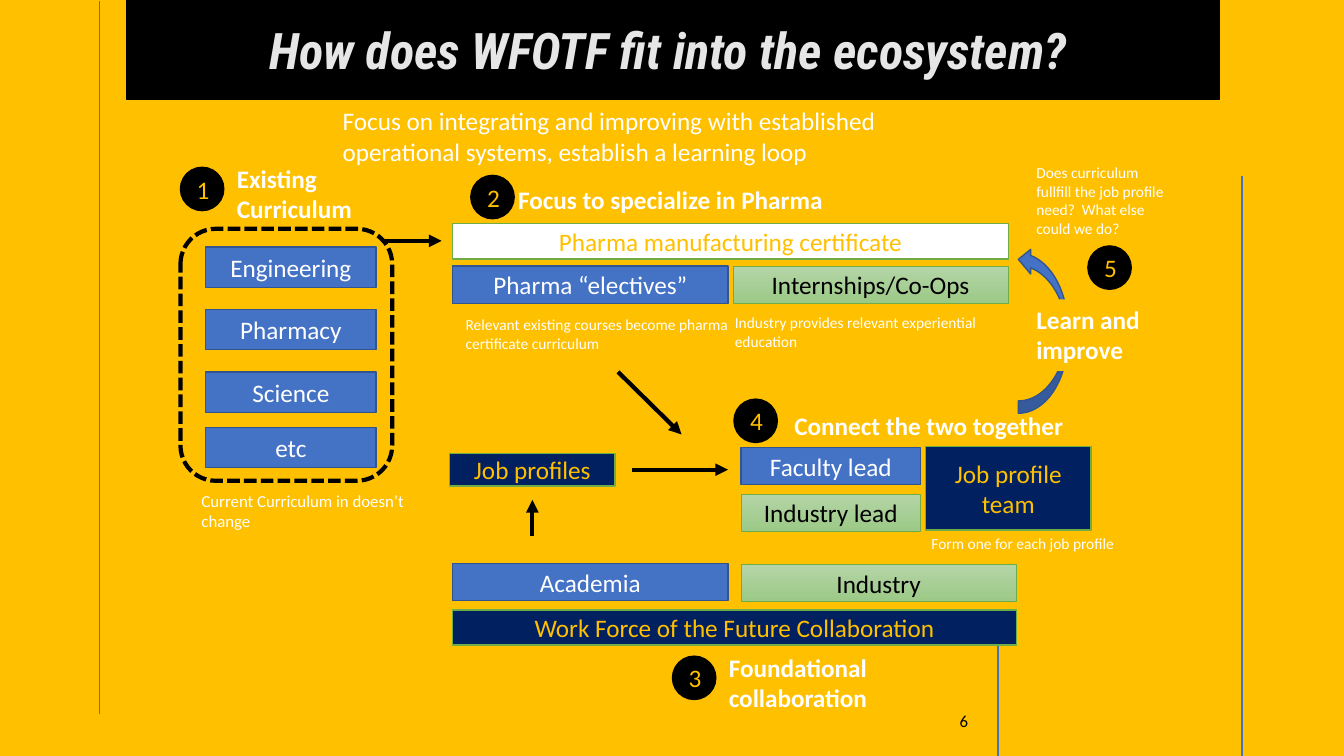
"""Build the slide that places the workforce programme in its ecosystem."""
from dataclasses import dataclass
from typing import Optional

from lxml.etree import SubElement
from pptx import Presentation
from pptx.dml.color import RGBColor
from pptx.enum.dml import MSO_LINE
from pptx.enum.shapes import MSO_CONNECTOR, MSO_SHAPE
from pptx.enum.text import MSO_ANCHOR, PP_ALIGN
from pptx.oxml.ns import qn
from pptx.shapes.autoshape import Shape
from pptx.slide import Slide
from pptx.util import Inches, Pt

GOLD = RGBColor(0xFF, 0xC0, 0x00)
BLACK = RGBColor(0x00, 0x00, 0x00)
WHITE = RGBColor(0xFF, 0xFF, 0xFF)
LIGHT_GRAY = RGBColor(0xE7, 0xE6, 0xE6)
BLUE = RGBColor(0x44, 0x72, 0xC4)
DARK_BLUE = RGBColor(0x32, 0x54, 0x91)
NAVY = RGBColor(0x00, 0x20, 0x60)
GREEN = RGBColor(0x70, 0xAD, 0x47)
PALE_GREEN = RGBColor(0xB5, 0xD5, 0xA7)
SOFT_GREEN = RGBColor(0x9C, 0xC9, 0x87)

BODY_FONT = "Calibri"
TITLE_FONT = "Roboto Condensed"
BADGE_SIZE = 0.43


@dataclass(frozen=True)
class Style:
    fill: Optional[RGBColor]
    line: Optional[RGBColor]
    text: RGBColor = WHITE
    line_width: float = 1
    gradient_end: Optional[RGBColor] = None


ACADEMIA = Style(BLUE, DARK_BLUE)
INDUSTRY = Style(PALE_GREEN, GREEN, BLACK, 0.5, SOFT_GREEN)
JOINT = Style(NAVY, GREEN, GOLD)
CERTIFICATE = Style(WHITE, GREEN, GOLD)
BLACK_SHAPE = Style(BLACK, BLACK, GOLD)
OUTLINE = Style(None, BLACK, line_width=3)


@dataclass(frozen=True)
class Box:
    text: str
    left: float
    top: float
    width: float
    height: float
    style: Style


@dataclass(frozen=True)
class Label:
    text: str
    left: float
    top: float
    width: float
    height: float
    size: float = 18
    bold: bool = False
    fill: Optional[RGBColor] = None
    wrap: bool = True
    color: RGBColor = WHITE
    anchor: MSO_ANCHOR = MSO_ANCHOR.TOP


@dataclass(frozen=True)
class Line:
    start_x: float
    start_y: float
    end_x: float
    end_y: float


@dataclass(frozen=True)
class Badge:
    number: int
    left: float
    top: float


RULES = [Line(0.99, 0.01, 0.99, 7.08), Line(9.9, 6.27, 9.9, 7.5), Line(12.32, 1.75, 12.32, 7.5)]
ARROWS = [
    Line(3.81, 2.39, 4.38, 2.39),
    Line(5.28, 5.32, 5.28, 4.96),
    Line(6.27, 4.66, 7.22, 4.66),
    Line(6.13, 3.69, 6.76, 4.31),
]
COURSES = [("Engineering", 2.45), ("Pharmacy", 3.07), ("Science", 3.69), ("etc", 4.24)]
BOXES = [Box(name, 2.04, top, 1.69, 0.4, ACADEMIA) for name, top in COURSES] + [
    Box("Pharma manufacturing certificate", 4.49, 2.22, 5.51, 0.35, CERTIFICATE),
    Box("Pharma “electives”", 4.49, 2.64, 2.73, 0.37, ACADEMIA),
    Box("Internships/Co-Ops", 7.27, 2.64, 2.73, 0.37, INDUSTRY),
    Box("Job profiles", 4.46, 4.5, 1.64, 0.32, JOINT),
    Box("Faculty lead", 7.35, 4.44, 1.78, 0.37, ACADEMIA),
    Box("Industry lead", 7.35, 4.9, 1.78, 0.37, INDUSTRY),
    Box("Job profile team", 9.18, 4.43, 1.64, 0.83, JOINT),
    Box("Academia", 4.49, 5.59, 2.73, 0.37, ACADEMIA),
    Box("Industry", 7.35, 5.6, 2.73, 0.37, INDUSTRY),
    Box("Work Force of the Future Collaboration", 4.49, 6.05, 5.59, 0.35, JOINT),
]
LABELS = [
    Label("Focus on integrating and improving with established operational systems, "
          "establish a learning loop", 3.3, 1, 6.39, 0.71),
    Label("Existing Curriculum", 2.25, 1.57, 1.72, 0.71, bold=True),
    Label("Current Curriculum in doesn’t change", 1.9, 4.82, 2.21, 0.5, 12),
    Label("Focus to specialize in Pharma", 5.04, 1.78, 3.25, 0.4, bold=True, wrap=False),
    Label("Relevant existing courses become pharma certificate curriculum", 4.52, 3.08, 2.97, 0.47, 11),
    Label("Industry provides relevant experiential education", 7.19, 3.06, 2.97, 0.47, 11),
    Label("Connect the two together", 7.78, 4.02, 3.76, 0.4, bold=True),
    Label("Form one for each job profile", 9.14, 5.25, 2.26, 0.29, 11),
    Label("Foundational collaboration", 7.13, 6.42, 2.29, 0.71, bold=True),
    Label("Does curriculum fullfill the job profile need?  What else could we do?",
          10.18, 1.57, 1.56, 0.84, 11, fill=GOLD),
    Label("Learn and improve", 10.18, 2.97, 1.42, 0.71, bold=True, fill=GOLD),
    Label("6", 9.42, 6.95, 3, 0.4, 12, color=BLACK, anchor=MSO_ANCHOR.MIDDLE),
]
BADGES = [Badge(1, 1.79, 1.66), Badge(2, 4.67, 1.74), Badge(3, 6.67, 6.51),
          Badge(4, 7.28, 3.96), Badge(5, 10.79, 2.44)]


def write(shape: Shape, text: str, size: float, color: RGBColor, bold: bool = False,
          font: str = BODY_FONT, italic: bool = False) -> None:
    run = shape.text_frame.paragraphs[0].add_run()
    run.text = text
    run.font.name = font
    run.font.size = Pt(size)
    run.font.color.rgb = color
    run.font.bold = bold
    run.font.italic = italic


def add_box(slide: Slide, box: Box, kind: MSO_SHAPE = MSO_SHAPE.RECTANGLE) -> Shape:
    shape = slide.shapes.add_shape(
        kind, Inches(box.left), Inches(box.top), Inches(box.width), Inches(box.height))
    shape.shadow.inherit = False
    style = box.style
    if style.fill is None:
        shape.fill.background()
    elif style.gradient_end is None:
        shape.fill.solid()
        shape.fill.fore_color.rgb = style.fill
    else:
        shape.fill.gradient()
        shape.fill.gradient_angle = 270
        for stop, color in zip(shape.fill.gradient_stops, (style.fill, style.gradient_end)):
            stop.color.rgb = color
    shape.line.color.rgb = style.line
    shape.line.width = Pt(style.line_width)
    if box.text:
        frame = shape.text_frame
        frame.word_wrap = True
        frame.vertical_anchor = MSO_ANCHOR.MIDDLE
        frame.paragraphs[0].alignment = PP_ALIGN.CENTER
        write(shape, box.text, 18, style.text)
    return shape


def add_label(slide: Slide, label: Label) -> None:
    shape = slide.shapes.add_textbox(
        Inches(label.left), Inches(label.top), Inches(label.width), Inches(label.height))
    if label.fill is not None:
        shape.fill.solid()
        shape.fill.fore_color.rgb = label.fill
    shape.text_frame.word_wrap = label.wrap
    shape.text_frame.vertical_anchor = label.anchor
    write(shape, label.text, label.size, label.color, label.bold)


def add_line(slide: Slide, line: Line, color: RGBColor, width: float, arrow: bool = False) -> None:
    connector = slide.shapes.add_connector(
        MSO_CONNECTOR.STRAIGHT, Inches(line.start_x), Inches(line.start_y),
        Inches(line.end_x), Inches(line.end_y))
    connector.line.color.rgb = color
    connector.line.width = Pt(width)
    if arrow:
        SubElement(connector.line._get_or_add_ln(), qn("a:tailEnd"), type="triangle")
    SubElement(connector._element.spPr, qn("a:effectLst"))


def add_title(slide: Slide, text: str) -> None:
    title = slide.shapes.add_textbox(Inches(2.67), Inches(0.26), Inches(8.89), Inches(0.56))
    frame = title.text_frame
    frame.word_wrap = True
    frame.margin_left = frame.margin_top = frame.margin_right = frame.margin_bottom = 0
    frame.paragraphs[0].line_spacing = 0.9
    write(title, text, 36, LIGHT_GRAY, True, TITLE_FONT, True)


def main() -> None:
    presentation = Presentation()
    presentation.slide_width = Inches(13.33)
    presentation.slide_height = Inches(7.5)
    slide = presentation.slides.add_slide(presentation.slide_layouts[6])
    slide.background.fill.solid()
    slide.background.fill.fore_color.rgb = GOLD
    add_box(slide, Box("", 1.26, 0, 10.83, 0.99, BLACK_SHAPE))
    for rule in RULES:
        add_line(slide, rule, BLUE, 1)
    add_title(slide, "How does WFOTF fit into the ecosystem?")
    for box in BOXES:
        add_box(slide, box)
    for arrow in ARROWS:
        add_line(slide, arrow, BLACK, 3, arrow=True)
    loop = add_box(slide, Box("", 9.52, 3.03, 1.65, 0.49, ACADEMIA), MSO_SHAPE.CURVED_UP_ARROW)
    loop.rotation = 270
    curriculum = add_box(slide, Box("", 1.79, 2.27, 2.1, 2.5, OUTLINE), MSO_SHAPE.ROUNDED_RECTANGLE)
    curriculum.line.dash_style = MSO_LINE.SQUARE_DOT
    for label in LABELS:
        add_label(slide, label)
    for badge in BADGES:
        add_box(slide, Box(str(badge.number), badge.left, badge.top, BADGE_SIZE, BADGE_SIZE, BLACK_SHAPE),
                MSO_SHAPE.OVAL)
    presentation.save("out.pptx")


if __name__ == "__main__":
    main()
